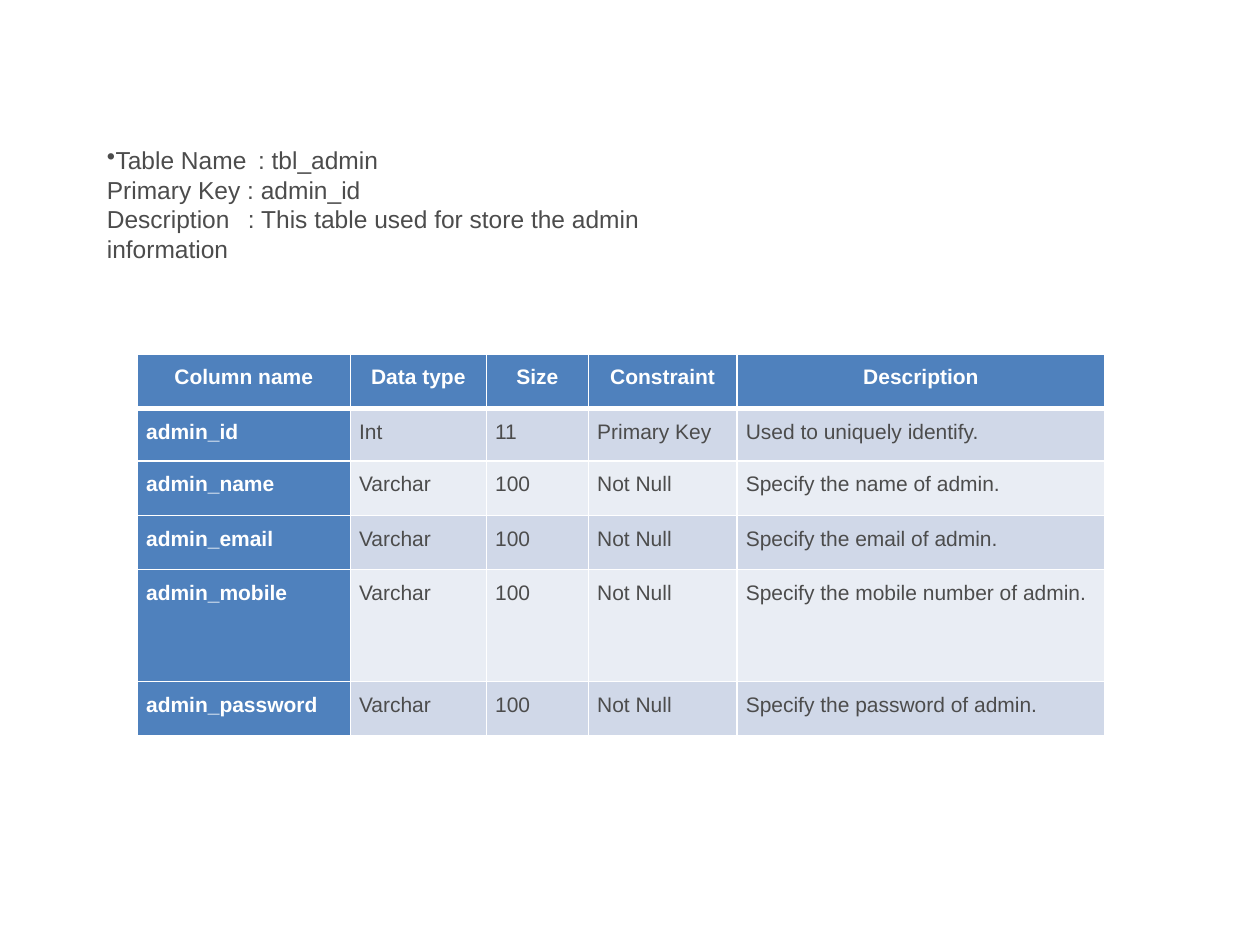
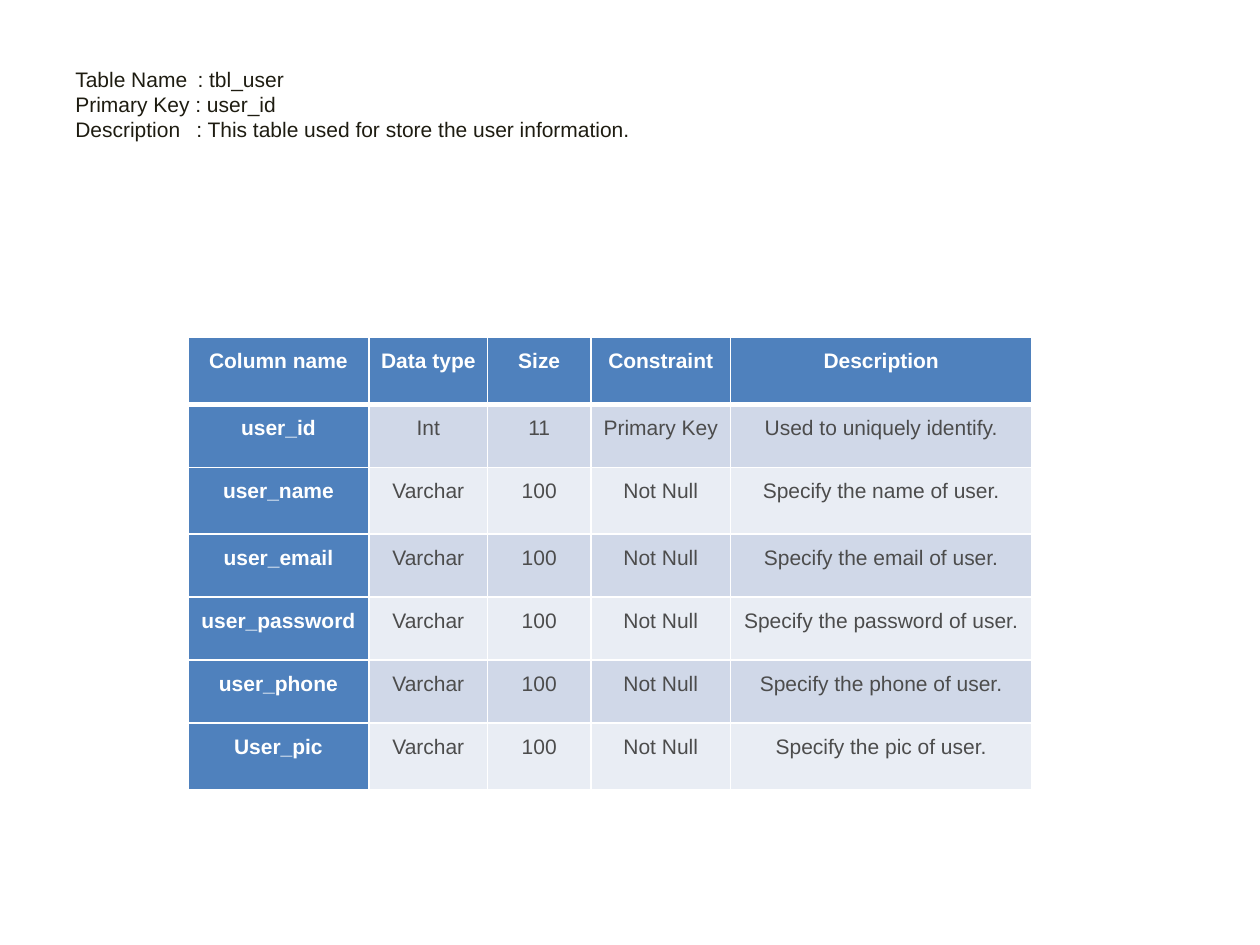
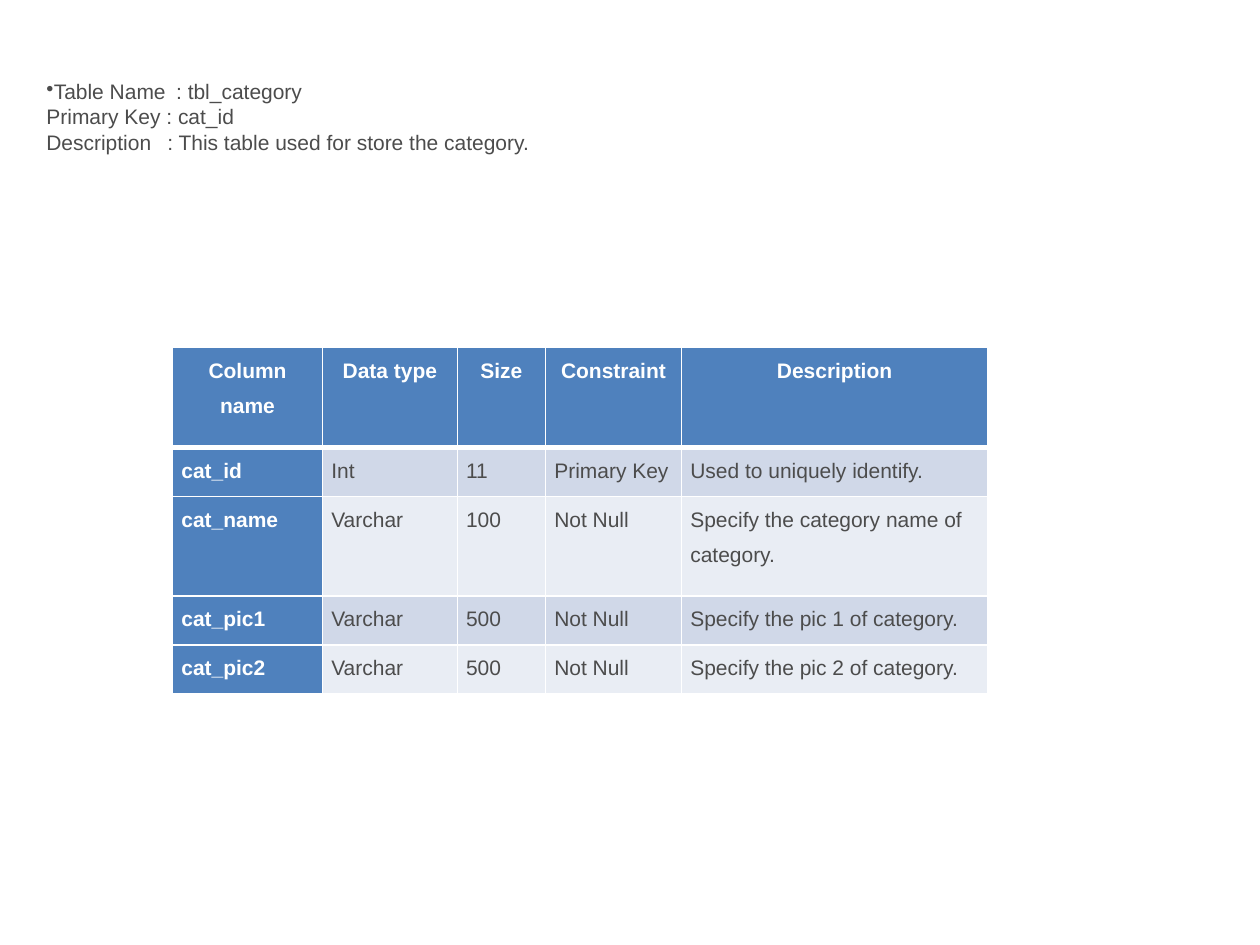
from lxml.etree import SubElement
from pptx import Presentation
from pptx.dml.color import RGBColor as RGB
from pptx.enum.text import MSO_ANCHOR as ANCHOR, PP_ALIGN as ALIGN
from pptx.oxml.ns import qn
from pptx.util import Emu, Inches, Pt

COLORS = {"header": "4F81BD", "odd": "D0D8E8", "even": "E9EDF4",
          "white": "FFFFFF", "text": "4C4C4C", "dark": "1E1C11"}
FONT = "Arial"
COLUMNS, ROWS = 100, 75
HEADER = ("Column name", "Data type", "Size", "Constraint", "Description")


class Deck:
    def __init__(self):
        self.prs = Presentation()
        self.prs.slide_width, self.prs.slide_height = Inches(10), Inches(7.5)
        self.s = None

    def x(self, columns):
        return Emu(round(self.prs.slide_width * columns / COLUMNS))

    def y(self, rows):
        return Emu(round(self.prs.slide_height * rows / ROWS))

    def slide(self):
        self.s = self.prs.slides.add_slide(self.prs.slide_layouts[6])

    def style(self, p, size, color, bold=False):
        for r in p.runs:
            r.font.name, r.font.size, r.font.bold = FONT, Pt(size), bold
            r.font.color.rgb = RGB.from_string(COLORS[color])

    def heading(self, box, table, key, about, stops, size=12, color="text",
                bullet=True, foot=0.5):
        left, top, width, height = box
        sp = self.s.shapes.add_textbox(self.x(left), self.y(top),
                                       self.x(width), self.y(height))
        tf = sp.text_frame
        tf.word_wrap, tf.vertical_anchor = True, ANCHOR.MIDDLE
        tf.margin_bottom = self.y(foot)
        tf.text = (f"Table Name\t: {table}\nPrimary Key : {key}\n"
                   f"Description\t: {about}")
        first, _, last = tf.paragraphs
        if bullet:
            pPr = first._p.get_or_add_pPr()
            pPr.set("marL", "0")
            pPr.set("indent", "0")
            SubElement(pPr, qn("a:buChar"), char="•")
        for p, stop in zip((first, last), stops):
            tabs = SubElement(p._p.get_or_add_pPr(), qn("a:tabLst"))
            SubElement(tabs, qn("a:tab"), pos=str(self.x(stop)), algn="l")
        for p in tf.paragraphs:
            self.style(p, size, color)

    def borders(self, cell, top, bottom):
        tcPr = cell._tc.get_or_add_tcPr()
        for side, width in (("L", 1), ("R", 1), ("T", top), ("B", bottom)):
            ln = SubElement(tcPr, qn(f"a:ln{side}"), w=str(Pt(width)))
            fill = SubElement(ln, qn("a:solidFill"))
            SubElement(fill, qn("a:srgbClr"), val=COLORS["white"])

    def cell(self, cell, text, row, col, align):
        is_header = row == 0
        is_label = is_header or col == 0
        self.borders(cell, 3 if row == 1 else 1, 3 if is_header else 1)
        cell.fill.solid()
        band = "header" if is_label else "odd" if row % 2 else "even"
        cell.fill.fore_color.rgb = RGB.from_string(COLORS[band])
        cell.margin_left = cell.margin_right = self.x(0.7)
        cell.margin_top = cell.margin_bottom = 0
        cell.text = text
        p = cell.text_frame.paragraphs[0]
        p.alignment = ALIGN.CENTER if is_header else align
        p.line_spacing, p.space_after = 1.5, Pt(8)
        self.style(p, 12, "white" if is_label else "text", is_label)

    def table(self, left, top, widths, heights, fields, align=ALIGN.LEFT):
        data = [HEADER, *fields]
        tbl = self.s.shapes.add_table(
            len(data), len(HEADER), self.x(left), self.y(top),
            self.x(sum(widths)), self.y(sum(heights))).table
        for column, width in zip(tbl.columns, widths):
            column.width = self.x(width)
        for i, (height, texts) in enumerate(zip(heights, data)):
            tbl.rows[i].height = self.y(height)
            for j, text in enumerate(texts):
                self.cell(tbl.cell(i, j), text, i, j, align)


def varchar(name, description, size="100"):
    return name, "Varchar", size, "Not Null", description


def primary(name):
    return name, "Int", "11", "Primary Key", "Used to uniquely identify."


def main():
    deck = Deck()

    deck.slide()
    deck.table(10.9, 28.1, (16.9, 10.8, 8.1, 11.8, 29.2),
               (4.3, 4.2, 4.3, 4.3, 8.9, 4.3), [
        primary("admin_id"),
        varchar("admin_name", "Specify the name of admin."),
        varchar("admin_email", "Specify the email of admin."),
        varchar("admin_mobile", "Specify the mobile number of admin."),
        varchar("admin_password", "Specify the password of admin."),
    ])
    deck.heading((7.5, 11, 50, 10.4), "tbl_admin", "admin_id",
                 "This table used for store the admin information",
                 (12, 11.2), size=14)

    deck.slide()
    deck.heading((5, 3, 90, 12.5), "tbl_user", "user_id",
                 "This table used for store the user information.",
                 (9.7, 9.6), color="dark", bullet=False, foot=2.5)
    deck.table(14.9, 26.8, (14.4, 9.4, 8.2, 11.1, 23.9),
               (5.3, 5, 5.3, 5, 5, 5, 5.3), [
        primary("user_id"),
        varchar("user_name", "Specify the name of user."),
        varchar("user_email", "Specify the email of user."),
        varchar("user_password", "Specify the password of user."),
        varchar("user_phone", "Specify the phone of user."),
        varchar("User_pic", "Specify the pic of user."),
    ], ALIGN.CENTER)

    deck.slide()
    deck.table(13.7, 27.6, (11.9, 10.7, 7, 10.8, 24.3),
               (7.9, 3.9, 7.9, 3.9, 3.9), [
        primary("cat_id"),
        varchar("cat_name", "Specify the category name of category."),
        varchar("cat_pic1", "Specify the pic 1 of category.", "500"),
        varchar("cat_pic2", "Specify the pic 2 of category.", "500"),
    ])
    deck.heading((2.7, 5.7, 92.3, 7.1), "tbl_category", "cat_id",
                 "This table used for store the category.", (10.3, 9.6))

    deck.prs.save("out.pptx")


if __name__ == "__main__":
    main()
